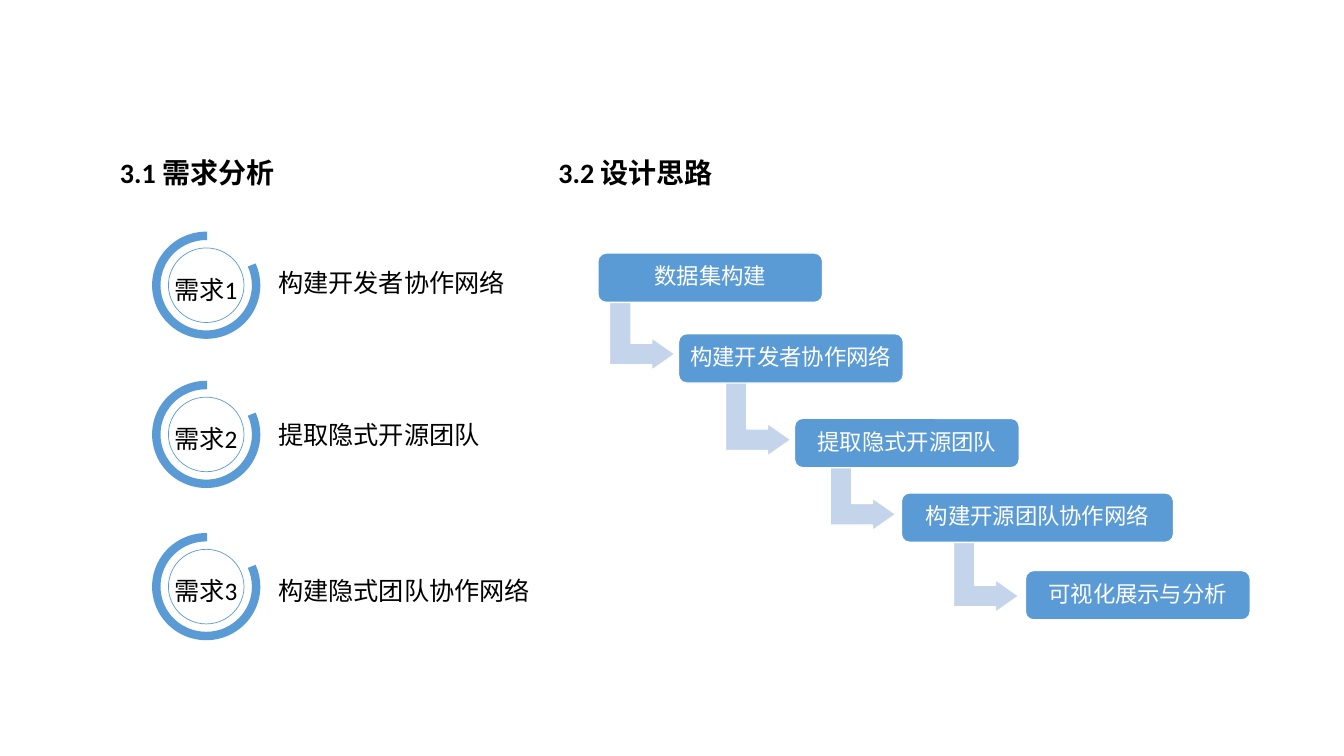
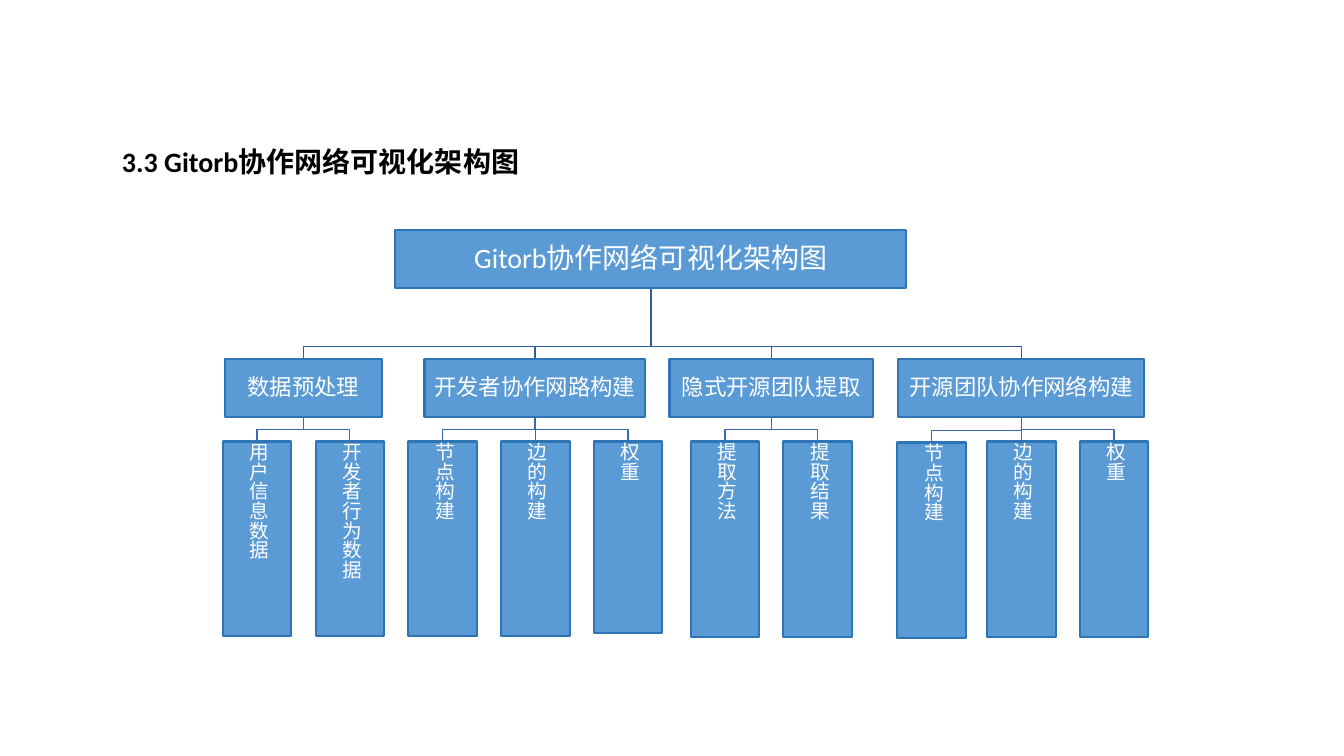
from lxml import etree
from pptx import Presentation
from pptx.dml.color import RGBColor
from pptx.enum.shapes import MSO_CONNECTOR, MSO_SHAPE
from pptx.enum.text import MSO_ANCHOR, MSO_AUTO_SIZE, PP_ALIGN
from pptx.oxml.ns import qn
from pptx.util import Inches, Pt

BLACK = RGBColor(0x00, 0x00, 0x00)
WHITE = RGBColor(0xFF, 0xFF, 0xFF)
BLUE = RGBColor(0x5B, 0x9B, 0xD5)
BORDER_BLUE = RGBColor(0x2E, 0x75, 0xB6)
PALE_BLUE = RGBColor(0xC4, 0xD5, 0xEB)
ROOT_LINE = RGBColor(0x36, 0x5B, 0x9D)
BRANCH_LINE = RGBColor(0x3E, 0x67, 0xB2)

LEFT, CENTER = PP_ALIGN.LEFT, PP_ALIGN.CENTER
TOP, MIDDLE = MSO_ANCHOR.TOP, MSO_ANCHOR.MIDDLE
RECTANGLE, ROUNDED = MSO_SHAPE.RECTANGLE, MSO_SHAPE.ROUNDED_RECTANGLE
OVAL, ARC, BENT_ARROW = MSO_SHAPE.OVAL, MSO_SHAPE.ARC, MSO_SHAPE.BENT_UP_ARROW
STRAIGHT = MSO_CONNECTOR.STRAIGHT

FONT = "Calibri"
TITLE_ONLY_LAYOUT = 5
ARC_UNITS_PER_DEGREE = 0.6
STEP_HEIGHT = 0.49
ARROW_WIDTH = 0.65
BOX_HEIGHT, BRANCH_TOP = 0.58, 3.56
LEAF_WIDTH = 0.68
DROP = 0.12

# text, top of the ring, top of the text
NEEDS = [
    ("构建开发者协作网络", 2.34, 2.6),
    ("提取隐式开源团队", 3.82, 4.11),
    ("构建隐式团队协作网络", 5.33, 5.66),
]
# text, left, top, width
STEPS = [
    ("数据集构建", 5.93, 2.51, 2.23),
    ("构建开发者协作网络", 6.73, 3.31, 2.23),
    ("提取隐式开源团队", 7.88, 4.15, 2.23),
    ("构建开源团队协作网络", 8.94, 4.89, 2.7),
    ("可视化展示与分析", 10.17, 5.66, 2.23),
]
# left, top, length before the quarter turn
STEP_ARROWS = [(5.95, 2.93, 0.84), (7.08, 3.76, 0.88),
               (8.18, 4.56, 0.76), (9.37, 5.34, 0.82)]
# text, left, width, leaves as (text, left, top, height)
BRANCHES = [
    ("数据预处理", 2.23, 1.56,
     [("用户信息数据", 2.21, 4.38, 1.93), ("开发者行为数据", 3.13, 4.38, 1.93)]),
    ("开发者协作网路构建", 4.21, 2.19,
     [("节点构建", 4.05, 4.38, 1.93), ("边的构建", 4.97, 4.38, 1.93),
      ("权重", 5.89, 4.38, 1.9)]),
    ("隐式开源团队提取", 6.64, 2.02,
     [("提取方法", 6.85, 4.38, 1.94), ("提取结果", 7.77, 4.38, 1.94)]),
    ("开源团队协作网络构建", 8.91, 2.44,
     [("节点构建", 8.9, 4.39, 1.94), ("边的构建", 9.79, 4.38, 1.94),
      ("权重", 10.71, 4.38, 1.94)]),
]


def write(shape, text, size=18, color=BLACK, bold=False, align=LEFT,
          anchor=TOP, margins=None, line_spacing=1.0, vertical=False):
    frame = shape.text_frame
    frame.word_wrap = True
    frame.auto_size = MSO_AUTO_SIZE.NONE
    frame.vertical_anchor = anchor
    if margins is not None:
        frame.margin_left = frame.margin_right = Inches(margins)
        frame.margin_top = frame.margin_bottom = Inches(margins)
    if vertical:
        shape.element.txBody.bodyPr.set("vert", "eaVert")
    paragraph = frame.paragraphs[0]
    paragraph.alignment = align
    paragraph.line_spacing = line_spacing
    run = paragraph.add_run()
    run.text = text
    run.font.name = FONT
    run.font.size = Pt(size)
    run.font.bold = bold
    run.font.color.rgb = color


class Deck:
    """Holds the shared style and the slide being filled."""

    def __init__(self):
        self.presentation = Presentation()
        self.presentation.slide_width = Inches(13.33)
        self.presentation.slide_height = Inches(7.5)
        self.slide = None

    def new_slide(self, title, left, top, width):
        layout = self.presentation.slide_layouts[TITLE_ONLY_LAYOUT]
        self.slide = self.presentation.slides.add_slide(layout)
        placeholder = self.slide.shapes.title
        placeholder.left, placeholder.top = Inches(left), Inches(top)
        placeholder.width, placeholder.height = Inches(width), Inches(0.44)
        write(placeholder, title, size=20, bold=True)

    def text(self, text, left, top, width, height=0.4, **text_format):
        box = self.slide.shapes.add_textbox(
            Inches(left), Inches(top), Inches(width), Inches(height))
        write(box, text, **text_format)

    def shape(self, kind, left, top, width, height, fill=None, line=WHITE,
              line_width=1, adjustments=()):
        shape = self.slide.shapes.add_shape(
            kind, Inches(left), Inches(top), Inches(width), Inches(height))
        shape.shadow.inherit = False
        if fill is None:
            shape.fill.background()
        else:
            shape.fill.solid()
            shape.fill.fore_color.rgb = fill
        shape.line.color.rgb = line
        shape.line.width = Pt(line_width)
        for index, value in enumerate(adjustments):
            shape.adjustments[index] = value
        return shape

    def ring(self, label, top):
        """Draw a thin circle inside a thick open arc, with a label."""
        self.shape(OVAL, 1.67, top + 0.12, 0.75, 0.74, line=BLUE, line_width=0.5)
        gap_end, gap_start = 336, 271
        self.shape(ARC, 1.55, top, 0.99, 0.98, line=BLUE, line_width=6,
                   adjustments=[angle * ARC_UNITS_PER_DEGREE
                                for angle in (gap_end, gap_start)])
        self.text(label, 1.63, top + 0.33, 0.98, 0.42)

    def step(self, text, left, top, width):
        box = self.shape(ROUNDED, left, top, width, STEP_HEIGHT, fill=BLUE,
                         adjustments=[0.167])
        write(box, text, size=16, color=WHITE, align=CENTER, anchor=MIDDLE,
              margins=0.07, line_spacing=0.9)

    def step_arrow(self, left, top, length):
        arrow = self.shape(BENT_ARROW, left, top, length, ARROW_WIDTH,
                           fill=PALE_BLUE, adjustments=[0.328, 0.25, 0.358])
        arrow.rotation = 90

    def tree_box(self, text, left, top, width, height=BOX_HEIGHT, size=16,
                 align=CENTER, vertical=False):
        box = self.shape(RECTANGLE, left, top, width, height, fill=BLUE,
                         line=BORDER_BLUE, line_width=1.5)
        write(box, text, size=size, color=WHITE, align=align, anchor=MIDDLE,
              margins=0.01, line_spacing=0.9, vertical=vertical)

    def link(self, parent_x, parent_bottom, child_x, child_top, color):
        """Join two boxes by a straight line or, if they are offset, an elbow."""
        start_x, start_y = Inches(parent_x), Inches(parent_bottom)
        end_x, end_y = Inches(child_x), Inches(child_top)
        if abs(parent_x - child_x) < 0.001:
            line = self.slide.shapes.add_connector(
                STRAIGHT, start_x, start_y, end_x, end_y)
            properties = line.element.find(qn("p:spPr"))
        else:
            bar_y = Inches(child_top - DROP)
            builder = self.slide.shapes.build_freeform(start_x, start_y)
            builder.add_line_segments(
                [(start_x, bar_y), (end_x, bar_y), (end_x, end_y)], close=False)
            line = builder.convert_to_shape()
            line.fill.background()
            properties = None
            line.shadow.inherit = False
        line.line.color.rgb = color
        line.line.width = Pt(1)
        if properties is not None:
            etree.SubElement(properties, qn("a:effectLst"))


def build_design_slide(deck):
    deck.new_slide("3.1 需求分析", 1.09, 1.49, 2.66)
    deck.text("3.2 设计思路", 5.44, 1.49, 2.02, 0.44, size=20, bold=True)
    for number, (text, ring_top, text_top) in enumerate(NEEDS, start=1):
        deck.ring(f"需求{number}", ring_top)
        deck.text(text, 2.66, text_top, 2.78)
    for arrow in STEP_ARROWS:
        deck.step_arrow(*arrow)
    for step in STEPS:
        deck.step(*step)


def build_architecture_slide(deck):
    deck.new_slide("3.3 Gitorb协作网络可视化架构图", 1.11, 1.38, 6.67)
    root_left, root_top, root_width = 3.92, 2.28, 5.07
    root_center = root_left + root_width / 2
    for _, left, width, leaves in BRANCHES:
        center = left + width / 2
        deck.link(root_center, root_top + BOX_HEIGHT, center, BRANCH_TOP, ROOT_LINE)
        for _, leaf_left, leaf_top, _ in leaves:
            deck.link(center, BRANCH_TOP + BOX_HEIGHT, leaf_left + LEAF_WIDTH / 2,
                      leaf_top, BRANCH_LINE)
    deck.tree_box("Gitorb协作网络可视化架构图", root_left, root_top, root_width,
                  size=20)
    for text, left, width, leaves in BRANCHES:
        deck.tree_box(text, left, BRANCH_TOP, width)
        for leaf_text, leaf_left, leaf_top, leaf_height in leaves:
            deck.tree_box(leaf_text, leaf_left, leaf_top, LEAF_WIDTH, leaf_height,
                          size=14, align=LEFT, vertical=True)


def main():
    deck = Deck()
    build_design_slide(deck)
    build_architecture_slide(deck)
    deck.presentation.save("out.pptx")


if __name__ == "__main__":
    main()
